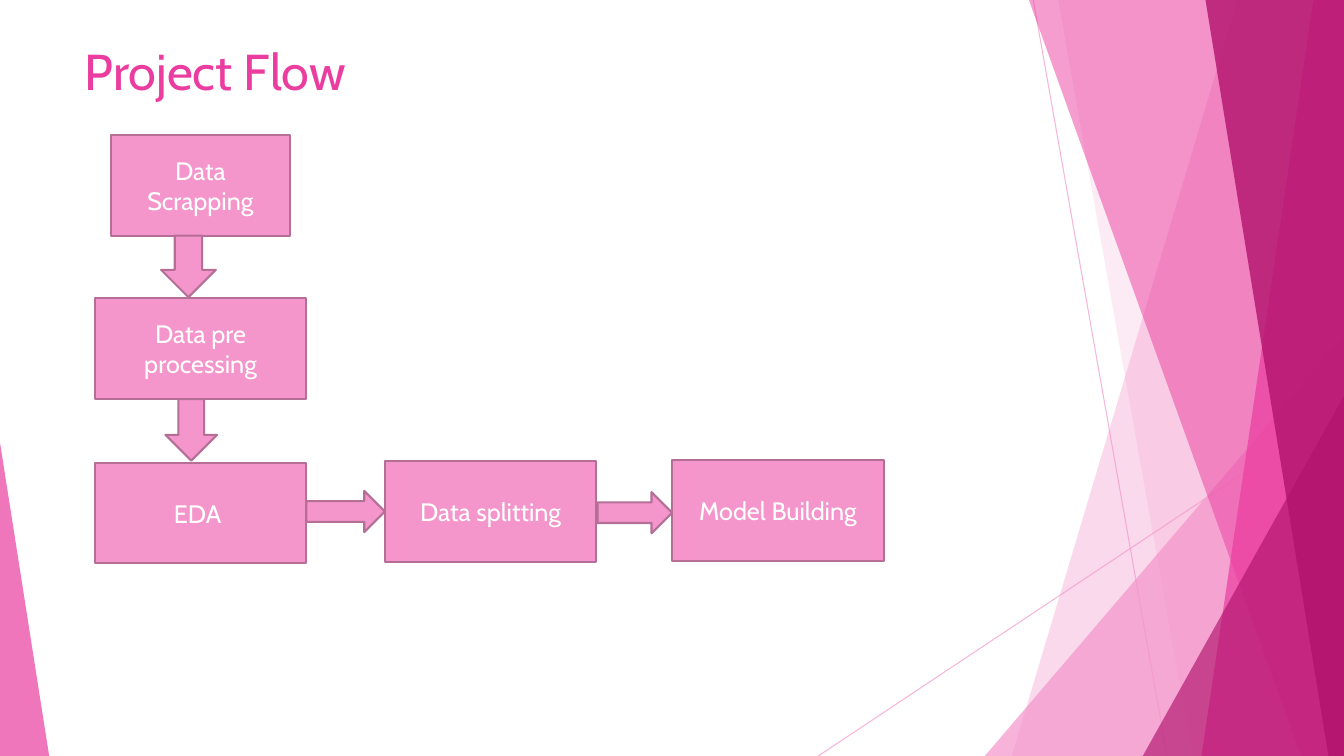
from lxml import etree
from pptx import Presentation
from pptx.dml.color import RGBColor
from pptx.enum.shapes import MSO_CONNECTOR, MSO_SHAPE
from pptx.enum.text import MSO_ANCHOR, MSO_AUTO_SIZE, PP_ALIGN
from pptx.oxml.ns import qn
from pptx.util import Cm, Pt

RECT, TRI = MSO_SHAPE.RECTANGLE, MSO_SHAPE.ISOSCELES_TRIANGLE
DOWN, RIGHT = MSO_SHAPE.DOWN_ARROW, MSO_SHAPE.RIGHT_ARROW
LINE = MSO_CONNECTOR.STRAIGHT
LEFT, CENTER = PP_ALIGN.LEFT, PP_ALIGN.CENTER
TOP, MIDDLE = MSO_ANCHOR.TOP, MSO_ANCHOR.MIDDLE
FIXED = MSO_AUTO_SIZE.NONE

WIDTH, HEIGHT = 33.87, 19.05
FONT = "Cabin"
COLORS = {
    "light": "F496CB",
    "pink": "EB3D9F",
    "dark": "B2136D",
    "edge": "B56F96",
    "white": "FFFFFF",
}


class Deck:
    """Holds the style and the current slide."""

    def __init__(self):
        self.prs = Presentation()
        self.prs.slide_width, self.prs.slide_height = Cm(WIDTH), Cm(HEIGHT)
        self.slide = self.prs.slides.add_slide(self.prs.slide_layouts[5])
        self.shapes = self.slide.shapes

    def paint(self, fill, color, alpha=100):
        fill.solid()
        fill.fore_color.rgb = RGBColor.from_string(COLORS[color])
        if alpha < 100:
            tone = fill._xPr.find(".//" + qn("a:srgbClr"))
            etree.SubElement(tone, qn("a:alpha"), val=str(alpha * 1000))

    def label(self, frame, text, size, color, align, anchor):
        frame.text = text
        frame.word_wrap = True
        frame.vertical_anchor = anchor
        para = frame.paragraphs[0]
        para.alignment = align
        para.font.name, para.font.size = FONT, Pt(size)
        para.font.color.rgb = RGBColor.from_string(COLORS[color])

    def title(self, text, x, y, w, h):
        shape = self.shapes.title
        shape.left, shape.top, shape.width, shape.height = map(Cm, (x, y, w, h))
        self.label(shape.text_frame, text, 36, "pink", LEFT, TOP)
        shape.text_frame.auto_size = FIXED
        shape.text_frame.margin_top = Cm(0.2)
        self.shapes._spTree.append(shape._element)  # above the backdrop

    def ray(self, *ends):
        line = self.shapes.add_connector(LINE, *map(Cm, ends))
        line.line.width = Pt(0.75)
        self.paint(line.line.fill, "light", 70)
        etree.SubElement(line._element.spPr, qn("a:effectLst"))

    def blade(self, top, base, color, alpha):
        """A panel from a slanted left side to the right slide edge."""
        pen = self.shapes.build_freeform(Cm(top), 0)
        points = [(WIDTH, 0), (WIDTH, HEIGHT), (base, HEIGHT)]
        pen.add_line_segments([(Cm(x), Cm(y)) for x, y in points])
        self.plain(pen.convert_to_shape(), color, alpha)

    def wedge(self, x, y, w, apex, color, alpha):
        """A right triangle that stands on the bottom slide edge."""
        shape = self.shapes.add_shape(TRI, *map(Cm, (x, y, w, HEIGHT - y)))
        shape.adjustments[0] = apex
        self.plain(shape, color, alpha)

    def plain(self, shape, color, alpha):
        shape.shadow.inherit = False
        self.paint(shape.fill, color, alpha)
        shape.line.fill.background()

    def block(self, kind, x, y, w, h):
        shape = self.shapes.add_shape(kind, *map(Cm, (x, y, w, h)))
        shape.shadow.inherit = False
        self.paint(shape.fill, "light")
        self.paint(shape.line.fill, "edge")
        shape.line.width = Pt(1.5)
        return shape

    def step(self, text, x, y, w=5.33):
        shape = self.block(RECT, x, y, w, 2.54)
        self.label(shape.text_frame, text, 18, "white", CENTER, MIDDLE)


def main():
    deck = Deck()

    # Backdrop
    deck.ray(26.04, 0, 29.41, HEIGHT)
    deck.ray(WIDTH, 10.24, 20.62, HEIGHT)
    deck.blade(31.19, 25.5, "light", 36)
    deck.blade(26.67, 30.05, "light", 20)
    deck.wedge(24.82, 8.46, 9.05, 1, "light", 72)
    deck.blade(25.93, 32.79, "pink", 50)
    deck.blade(33.1, 30.28, "pink", 70)
    deck.blade(30.38, 33.48, "dark", 80)
    deck.wedge(28.8, 9.98, 5.07, 1, "dark", 66)
    deck.wedge(0, 11.15, 1.24, 0, "pink", 70)

    # Title
    deck.title("Project Flow", 1.88, 0.81, 23.88, 2.13)

    # Steps
    deck.step("Data Scrapping", 2.79, 3.4, 4.52)
    deck.step("Data pre processing", 2.39, 7.52)
    deck.step("EDA ", 2.39, 11.66)
    deck.step("Data splitting", 9.7, 11.62)
    deck.step("Model Building", 16.94, 11.6)

    # Arrows between the steps
    deck.block(DOWN, 4.06, 5.94, 1.38, 1.55)
    deck.block(DOWN, 4.17, 10.06, 1.3, 1.55)
    deck.block(RIGHT, 7.72, 12.37, 1.98, 1.04)
    deck.block(RIGHT, 15.06, 12.4, 1.88, 1.04)

    deck.prs.save("out.pptx")


if __name__ == "__main__":
    main()
